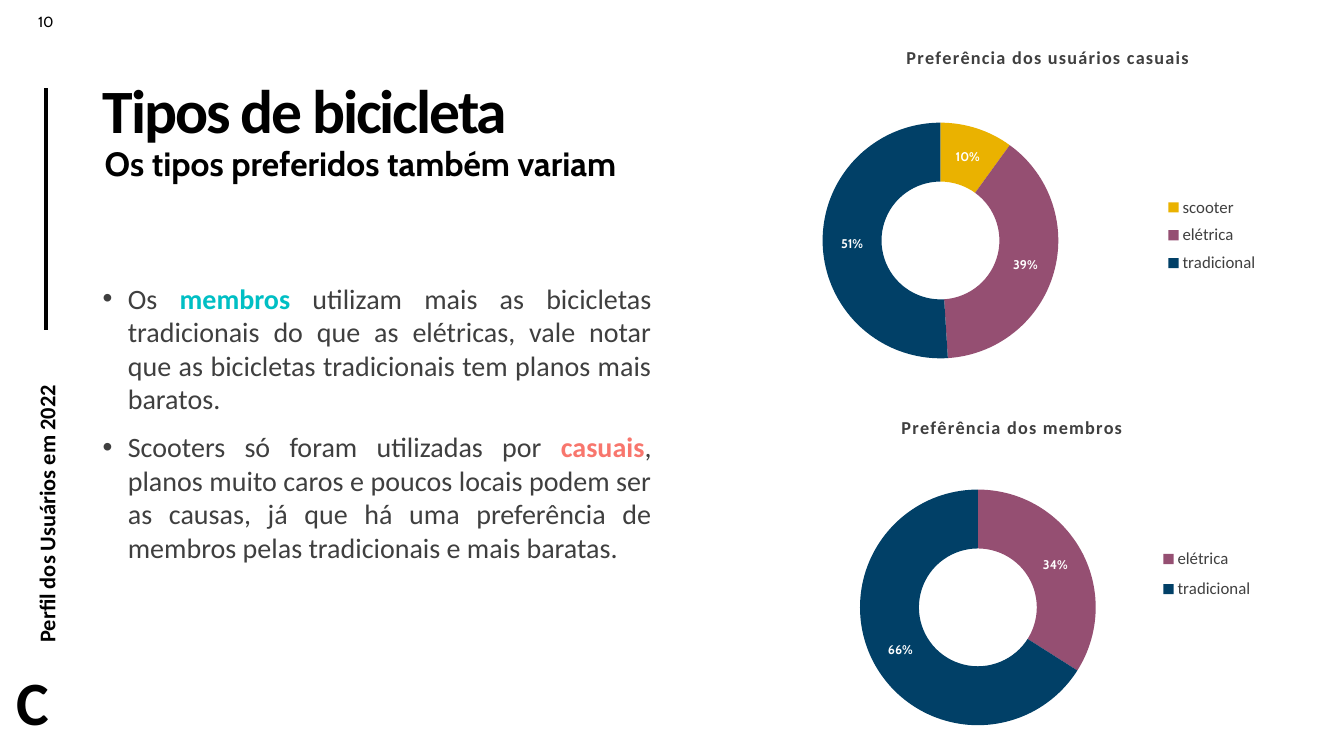
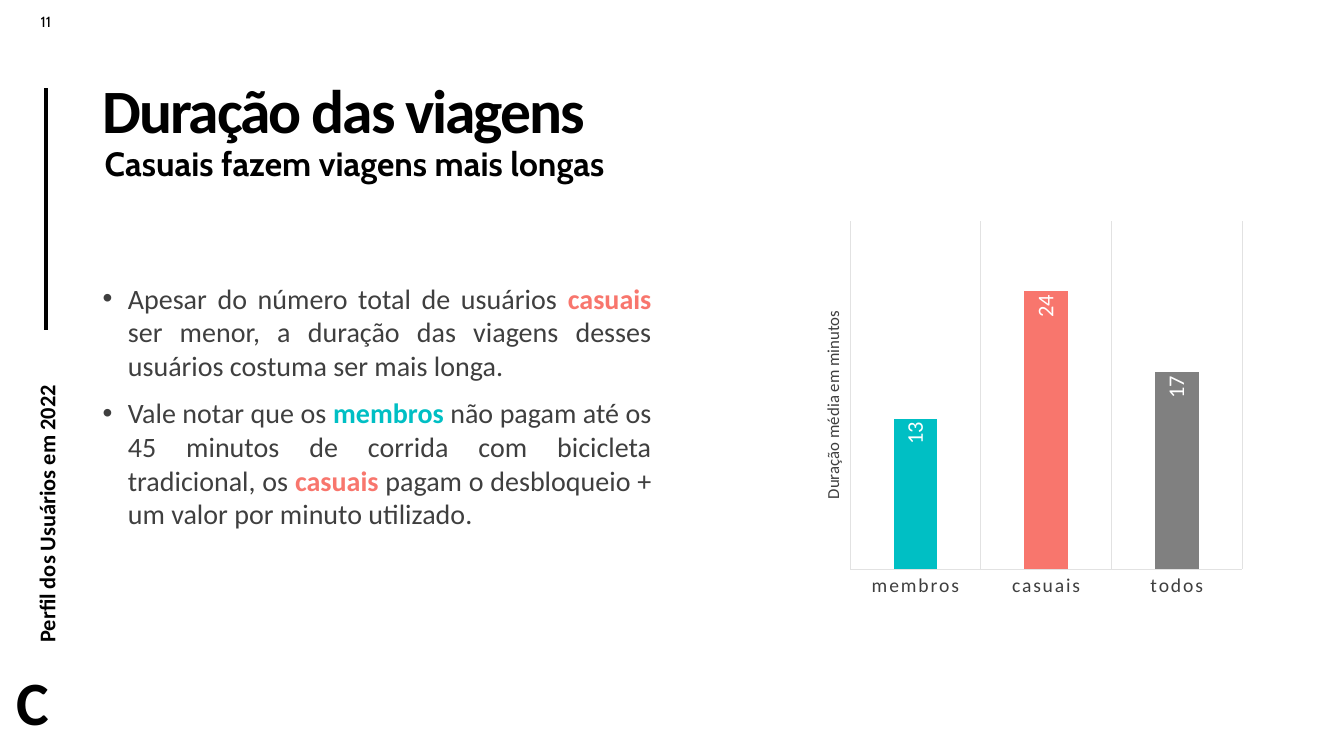
"""Build two slides on bicycle preferences and trip duration."""
from dataclasses import dataclass, field

from lxml import etree
from pptx import Presentation
from pptx import util as u
from pptx.chart import data as cd
from pptx.dml import color
from pptx.enum import chart as ce, shapes, text
from pptx.oxml import ns


@dataclass(frozen=True)
class Theme:
    ink: str = "000000"
    body: str = "3F3F3F"
    white: str = "FFFFFF"
    grid: str = "E2E2E2"
    scooter: str = "EAB200"
    electric: str = "954F72"
    classic: str = "014067"
    members: str = "00BFC4"
    casual: str = "F8766D"
    everyone: str = "808080"
    main: str = "Calibri"
    accent: str = "Cabin"
    title_pt: float = 44
    subtitle_pt: float = 24
    body_pt: float = 20
    section_pt: float = 16
    category_pt: float = 14
    chart_title_pt: float = 13
    legend_pt: float = 12
    chart_pt: float = 10
    percent_pt: float = 9
    number_pt: float = 10.5
    bikes: dict = field(default_factory=dict)
    groups: dict = field(default_factory=dict)


THEME = Theme(
    bikes={"scooter": Theme.scooter, "elétrica": Theme.electric,
           "tradicional": Theme.classic},
    groups={"membros": Theme.members, "casuais": Theme.casual,
            "todos": Theme.everyone},
)


def box(*lengths):
    return [u.Inches(v) for v in lengths]


class Deck:
    def __init__(self, theme):
        self.t = theme
        self.prs = Presentation()
        self.prs.slide_width, self.prs.slide_height = box(13.33, 7.5)
        self.s = None

    def style(self, font, size, name=None, rgb=None, bold=False, spacing=None):
        font.size = u.Pt(size)
        font.name = name or self.t.main
        font.bold = bold
        font.color.rgb = color.RGBColor.from_string(rgb or self.t.ink)
        if spacing is not None:
            font._rPr.set("spc", str(int(spacing * 100)))

    def frame(self, at, anchor=text.MSO_ANCHOR.TOP, inset=None, turn=0):
        sp = self.s.shapes.add_textbox(*box(*at))
        sp.rotation = turn
        tf = sp.text_frame
        tf.word_wrap = True
        tf.vertical_anchor = anchor
        if inset is not None:
            tf.margin_left = tf.margin_right = u.Inches(inset)
            tf.margin_top = tf.margin_bottom = u.Inches(inset)
        return tf

    def label(self, at, words, size, name=None, bold=True, align=None,
              spacing=None, line=None, **place):
        p = self.frame(at, **place).paragraphs[0]
        p.alignment = align
        p.line_spacing = line
        r = p.add_run()
        r.text = words
        self.style(r.font, size, name, bold=bold, spacing=spacing)

    def slide(self, number, title, subtitle):
        t, middle = self.t, text.MSO_ANCHOR.MIDDLE
        self.s = self.prs.slides.add_slide(self.prs.slide_layouts[6])
        self.label((-1.02, 4.76, 2.96, 0.31), "Perfil dos Usuários em 2022",
                   t.section_pt, anchor=middle, inset=0.02, turn=270)
        self.rule((0.46, 3.27), (0.46, 0.87))
        self.label((0.17, 0.08, 0.57, 0.27), str(number), t.number_pt, t.accent,
                   bold=False, align=text.PP_ALIGN.CENTER)
        self.label((0.14, 6.56, 0.52, 0.78), "C", t.title_pt,
                   anchor=middle, inset=0.02)
        self.label((0.92, 0.4, 11.5, 1.45), title, t.title_pt, spacing=-1.5,
                   line=0.9, anchor=middle)
        self.label((0.94, 1.41, 5.64, 0.46), subtitle, t.subtitle_pt, t.accent,
                   line=0.9, anchor=text.MSO_ANCHOR.BOTTOM)

    def rule(self, start, end):
        ln = self.s.shapes.add_connector(
            shapes.MSO_CONNECTOR.STRAIGHT, *box(*start, *end))
        ln.line.width = u.Pt(3)
        ln.line.color.rgb = color.RGBColor.from_string(self.t.ink)
        etree.SubElement(ln._element.spPr, ns.qn("a:effectLst"))

    def bullets(self, *items):
        tf = self.frame((0.92, 2.74, 5.64, 4.03))
        for i, runs in enumerate(items):
            p = tf.add_paragraph() if i else tf.paragraphs[0]
            p.alignment = text.PP_ALIGN.JUSTIFY
            if i:
                p.space_before = u.Pt(10)
            pPr = p._p.get_or_add_pPr()
            pPr.set("marL", str(u.Inches(0.25)))
            pPr.set("indent", str(-u.Inches(0.25)))
            etree.SubElement(pPr, ns.qn("a:buFont")).set("typeface", "Arial")
            etree.SubElement(pPr, ns.qn("a:buChar")).set("char", "•")
            for words in runs:
                r = p.add_run()
                r.text = words
                group = self.t.groups.get(words)
                self.style(r.font, self.t.body_pt, rgb=group or self.t.body,
                           bold=bool(group))

    def chart(self, kind, at, values, colors):
        data = cd.CategoryChartData()
        data.categories = list(values)
        data.add_series("Series 1", list(values.values()))
        ch = self.s.shapes.add_chart(kind, *box(*at), data).chart
        self.style(ch.font, self.t.chart_pt, self.t.accent, self.t.body)
        ch.has_title = ch.has_legend = False
        series = ch.plots[0].series[0]
        for i, name in enumerate(values):
            fill = series.points[i].format.fill
            fill.solid()
            fill.fore_color.rgb = color.RGBColor.from_string(colors[name])
        return ch, series.data_labels

    def arrange(self, ch, tag, **fractions):
        el = next(ch._chartSpace.iter(ns.qn(tag)))
        for old in el.findall(ns.qn("c:layout")):
            el.remove(old)
        leads = (ns.qn("c:tx"), ns.qn("c:legendPos"))
        layout = etree.Element(ns.qn("c:layout"))
        el.insert(int(el[0].tag in leads), layout)
        manual = etree.SubElement(layout, ns.qn("c:manualLayout"))
        settings = {"xMode": "edge", "yMode": "edge", **fractions}
        if tag == "c:plotArea":
            settings = {"layoutTarget": "inner", **settings}
        for key, value in settings.items():
            etree.SubElement(manual, ns.qn("c:" + key)).set("val", str(value))

    def turn_text(self, ch, tag):
        el = next(ch._chartSpace.iter(ns.qn(tag)))
        body = next(el.iter(ns.qn("a:bodyPr")))
        body.set("rot", "-5400000")
        body.set("vert", "horz")

    def donut(self, top, title, values, title_at, plot_at, legend_at):
        t = self.t
        ch, dl = self.chart(ce.XL_CHART_TYPE.DOUGHNUT, (7.92, top, 4.94, 3.49),
                            values, t.bikes)
        ch.plots[0].vary_by_categories = True
        ch.has_title = ch.has_legend = True
        r = ch.chart_title.text_frame.paragraphs[0].add_run()
        r.text = title
        self.style(r.font, t.chart_title_pt, rgb=t.body, bold=True, spacing=1)
        ch.legend.position = ce.XL_LEGEND_POSITION.RIGHT
        ch.legend.include_in_layout = False
        self.style(ch.legend.font, t.legend_pt, rgb=t.body)
        dl.show_percentage, dl.show_value = True, False
        dl.number_format, dl.number_format_is_linked = "0%", False
        self.style(dl.font, t.percent_pt, t.accent, t.white, bold=True)
        for tag, place in (("c:title", title_at), ("c:plotArea", plot_at),
                           ("c:legend", legend_at)):
            self.arrange(ch, tag, **dict(zip("xywh", place)))

    def columns(self, at, axis_title, values):
        t = self.t
        ch, dl = self.chart(ce.XL_CHART_TYPE.COLUMN_CLUSTERED, at, values, t.groups)
        plot = ch.plots[0]
        plot.vary_by_categories = False
        plot.gap_width, plot.overlap = 200, -50
        dl.show_value = True
        dl.position = ce.XL_LABEL_POSITION.INSIDE_END
        self.style(dl.font, t.section_pt, rgb=t.white)
        self.turn_text(ch, "c:dLbls")
        cat, val = ch.category_axis, ch.value_axis
        cat.has_major_gridlines = True
        cat.major_tick_mark = val.major_tick_mark = ce.XL_TICK_MARK.NONE
        for line in (cat.format.line, cat.major_gridlines.format.line):
            line.width = u.Pt(0.75)
            line.color.rgb = color.RGBColor.from_string(t.grid)
        self.style(cat.tick_labels.font, t.category_pt, rgb=t.body, spacing=1.2)
        val.minimum_scale, val.maximum_scale = 0, 30
        val.has_major_gridlines = False
        val.tick_label_position = ce.XL_TICK_LABEL_POSITION.NONE
        val.format.line.fill.background()
        val.has_title = True
        r = val.axis_title.text_frame.paragraphs[0].add_run()
        r.text = axis_title
        self.style(r.font, t.legend_pt, rgb=t.body)
        self.turn_text(ch, "c:title")
        self.arrange(ch, "c:title", x=0.05, y=0.24)
        self.arrange(ch, "c:plotArea", x=0.12, y=0.02, w=0.86, h=0.89)


def main():
    deck = Deck(THEME)
    deck.slide(10, "Tipos de bicicleta", "Os tipos preferidos também variam")
    deck.bullets(
        ("Os ", "membros", " utilizam mais as bicicletas tradicionais do que as "
         "elétricas, vale notar que as bicicletas tradicionais tem planos mais "
         "baratos."),
        ("Scooters só foram utilizadas por ", "casuais", ", planos muito caros e "
         "poucos locais podem ser as causas, já que há uma preferência de membros "
         "pelas tradicionais e mais baratas."),
    )
    deck.donut(0.24, "Preferência dos usuários casuais",
               {"scooter": 10, "elétrica": 39, "tradicional": 51},
               (0.21, 0.05), (0.04, 0.28, 0.49, 0.67), (0.73, 0.47, 0.2, 0.26))
    deck.donut(3.88, "Prefêrência dos membros",
               {"elétrica": 34, "tradicional": 66},
               (0.2, 0.06), (0.12, 0.28, 0.48, 0.67), (0.72, 0.42, 0.2, 0.2))

    deck.slide(11, "Duração das viagens", "Casuais fazem viagens mais longas")
    deck.bullets(
        ("Apesar do número total de usuários ", "casuais", " ser menor, a duração "
         "das viagens desses usuários costuma ser mais longa."),
        ("Vale notar que os ", "membros", " não pagam até os 45 minutos de corrida "
         "com bicicleta tradicional, os ", "casuais", " pagam o desbloqueio + um "
         "valor por minuto utilizado."),
    )
    deck.columns((7.89, 2.12, 4.52, 3.88), "Duração média em minutos",
                 {"membros": 13, "casuais": 24, "todos": 17})
    deck.prs.save("out.pptx")


if __name__ == "__main__":
    main()
